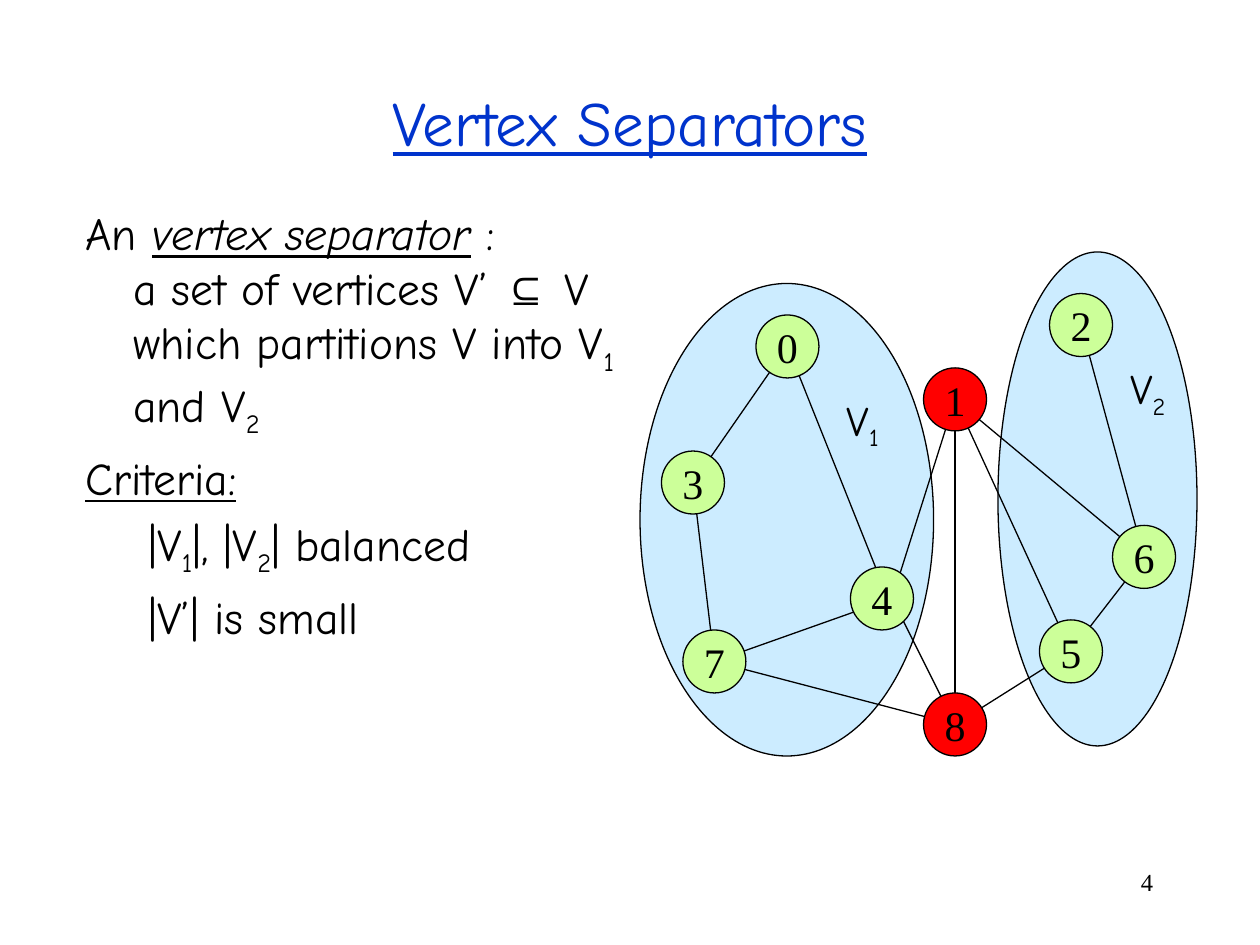
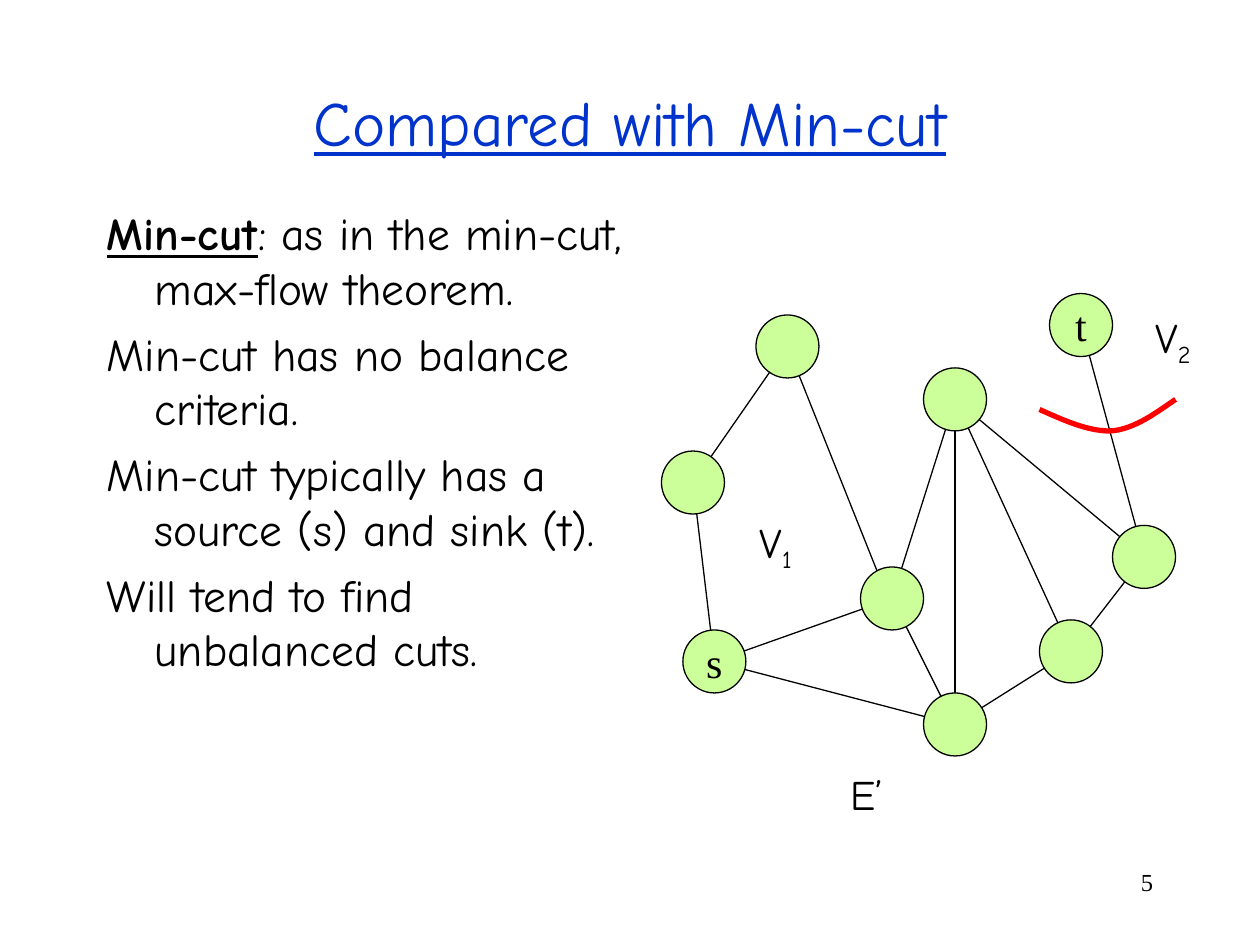
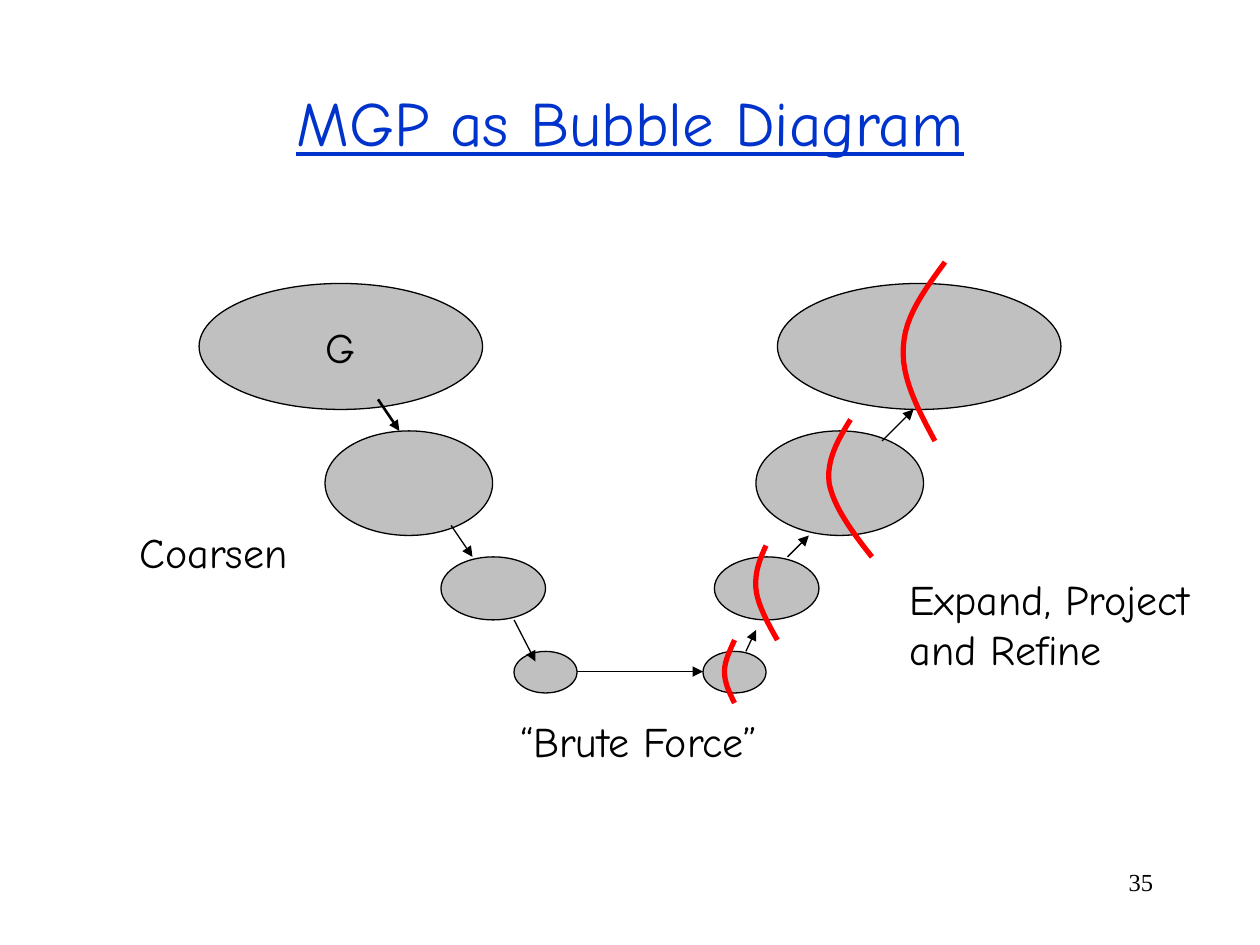
from dataclasses import dataclass

from lxml import etree
from pptx import Presentation
from pptx import util as u
from pptx.dml.color import RGBColor
from pptx.enum import shapes, text
from pptx.oxml.ns import qn


@dataclass(frozen=True)
class Theme:
    black: str = "000000"
    title: str = "0033CC"
    region: str = "CCECFF"
    node: str = "CCFF99"
    cut: str = "FF0000"
    bubble: str = "C0C0C0"
    hand: str = "Comic Neue"
    serif: str = "Times New Roman"
    symbol: str = "Arial"
    title_size: float = 36
    body_size: float = 26
    label_size: float = 24
    number_size: float = 14
    space_before: float = 6.5
    thin: float = 0.75
    medium: float = 1.5
    thick: float = 3


THEME = Theme()

# Content: a paragraph is a list of (text, style words) runs
V1 = [("V", ""), ("1", "sub")]
V2 = [("V", ""), ("2", "sub")]

SEPARATOR_BODY = [
    (0, [("An ", ""), ("vertex separator", "italic underline"),
         (" : \na set of vertices V’ ", ""), ("⊆", "symbol"),
         (" V which partitions V into V", ""), ("1", "sub"),
         (" and V", ""), ("2", "sub")]),
    (0, [("Criteria:", "underline")]),
    (1, [("|V", ""), ("1", "sub"), ("|, |V", ""), ("2", "sub"),
         ("| balanced", "")]),
    (1, [("|V’| is small", "")]),
]
MIN_CUT_BODY = [
    (0, [("Min-cut", "bold underline"),
         (": as in the min-cut, max-flow theorem.", "")]),
    (0, [("Min-cut has no balance criteria.", "")]),
    (0, [("Min-cut typically has a source (s) and sink (t).", "")]),
    (0, [("Will tend to find unbalanced cuts.", "")]),
]
INDENTS = [(0.38, -0.38), (0.81, -0.31)]  # left margin, first line

# Graph shared by the first two slides: node centres and edges
NODE_SIZE = 0.5
NODES = {7: (5.67, 5.25), 8: (7.58, 5.75), 3: (5.5, 3.83),
         4: (7.08, 4.75), 0: (6.25, 2.75), 1: (7.58, 3.17),
         2: (8.58, 2.58), 5: (8.5, 5.17), 6: (9.08, 4.42)}
ANCHORS = {**NODES, "below 4": (7.08, 4.83)}
EDGES = [(5, 6), (7, 4), (4, 8), (4, 1), (5, 8), (8, 1), (5, 1), (6, 1),
         (6, 2), (8, 7), ("below 4", 0), (0, 3), (7, 3)]
REGIONS = [(7.92, 2, 1.58, 3.92), (5.08, 2.25, 2.33, 3.75)]
SEPARATOR = {1, 8}

# Curves: a start, then control, control, end for each Bezier segment
MIN_CUT_CURVE = [(8.25, 3.25), (8.45, 3.34), (8.65, 3.43), (8.83, 3.42),
                 (9.01, 3.4), (9.17, 3.28), (9.33, 3.17)]
BUBBLE_CUTS = [
    [(5.83, 5.08), (5.79, 5.17), (5.75, 5.25), (5.75, 5.33),
     (5.75, 5.42), (5.79, 5.5), (5.83, 5.58)],
    [(6.17, 5.08), (6.09, 4.94), (6.01, 4.79), (6, 4.67),
     (5.99, 4.54), (6.03, 4.44), (6.08, 4.33)],
    [(6.92, 4.42), (6.76, 4.22), (6.61, 4.01), (6.58, 3.83),
     (6.56, 3.65), (6.65, 3.49), (6.75, 3.33)],
    [(7.42, 3.5), (7.28, 3.24), (7.15, 2.99), (7.17, 2.75),
     (7.18, 2.51), (7.34, 2.3), (7.5, 2.08)],
]

# Bubble levels: top, width, height, left when coarsening, left when refining
LEVELS = [(2.25, 2.25, 1, 1.58, 6.17), (3.42, 1.33, 0.83, 2.58, 6),
          (4.42, 0.83, 0.5, 3.5, 5.67), (5.17, 0.5, 0.33, 4.08, 5.58)]
ARROWS = [((3, 3.17), (3.17, 3.42), THEME.medium),
          ((3.58, 4.17), (3.75, 4.42), THEME.thin),
          ((4.08, 4.92), (4.25, 5.25), THEME.thin),
          ((4.58, 5.33), (5.58, 5.33), THEME.thin),
          ((5.92, 5.17), (6, 5), THEME.thin),
          ((6.25, 4.42), (6.42, 4.25), THEME.thin),
          ((7, 3.5), (7.25, 3.25), THEME.thin)]
BUBBLE_LABELS = [("Coarsen", (1.01, 4.13, 1.4, 0.5)),
                 ("Expand, Project\nand Refine", (7.12, 4.5, 2.45, 0.9)),
                 ("“Brute Force”", (4.03, 5.63, 2.14, 0.5))]


def inches(values):
    return [u.Inches(value) for value in values]


# Text
def set_font(paragraph, name, size, color=THEME.black):
    font = paragraph.font
    font.name, font.size = name, u.Pt(size)
    font.color.rgb = RGBColor.from_string(color)


def add_runs(paragraph, runs):
    for words, style in runs:
        for index, line in enumerate(words.split("\n")):
            if index:
                paragraph.add_line_break()
            run = paragraph.add_run()
            run.text = line
            if "bold" in style:
                run.font.bold = True
            if "italic" in style:
                run.font.italic = True
            if "underline" in style:
                run.font.underline = True
            if "symbol" in style:
                run.font.name = THEME.symbol
            if "sub" in style:
                run._r.get_or_add_rPr().set("baseline", "-25000")


def add_text_frame(slide, box):
    frame = slide.shapes.add_textbox(*inches(box)).text_frame
    frame.word_wrap = True
    return frame


def add_label(slide, runs, box):
    frame = add_text_frame(slide, box)
    frame.word_wrap = False
    frame.auto_size = text.MSO_AUTO_SIZE.SHAPE_TO_FIT_TEXT
    paragraph = frame.paragraphs[0]
    set_font(paragraph, THEME.hand, THEME.label_size)
    add_runs(paragraph, runs)


def add_body(slide, paragraphs, box):
    frame = add_text_frame(slide, box)
    for index, (level, runs) in enumerate(paragraphs):
        paragraph = frame.add_paragraph() if index else frame.paragraphs[0]
        paragraph.level = level
        paragraph.space_before = u.Pt(THEME.space_before)
        margin, first_line = INDENTS[level]
        properties = paragraph._p.get_or_add_pPr()
        properties.set("marL", str(u.Inches(margin)))
        properties.set("indent", str(u.Inches(first_line)))
        set_font(paragraph, THEME.hand, THEME.body_size)
        add_runs(paragraph, runs)


# Shapes
def set_line(line, width, color=THEME.black):
    line.width = u.Pt(width)
    line.color.rgb = RGBColor.from_string(color)


def add_ellipse(slide, box, fill, words="", font=THEME.serif):
    shape = slide.shapes.add_shape(shapes.MSO_SHAPE.OVAL, *inches(box))
    shape.shadow.inherit = False
    shape.fill.solid()
    shape.fill.fore_color.rgb = RGBColor.from_string(fill)
    set_line(shape.line, THEME.thin)
    if words:
        frame = shape.text_frame
        frame.word_wrap = False
        frame.vertical_anchor = text.MSO_ANCHOR.MIDDLE
        paragraph = frame.paragraphs[0]
        paragraph.alignment = text.PP_ALIGN.CENTER
        set_font(paragraph, font, THEME.label_size)
        add_runs(paragraph, [(words, "")])


def add_line(slide, start, end, width=THEME.thin, arrow=False):
    connector = slide.shapes.add_connector(
        shapes.MSO_CONNECTOR.STRAIGHT, *inches(start + end))
    set_line(connector.line, width)
    if arrow:
        etree.SubElement(connector.line._get_or_add_ln(), qn("a:tailEnd"),
                         type="triangle")
    etree.SubElement(connector._element.spPr, qn("a:effectLst"))


def bezier_points(curve, steps=12):
    for first in range(0, len(curve) - 1, 3):
        controls = curve[first:first + 4]
        for step in range(1, steps + 1):
            t = step / steps
            weights = ((1 - t) ** 3, 3 * t * (1 - t) ** 2,
                       3 * t ** 2 * (1 - t), t ** 3)
            yield tuple(sum(weight * point[axis] for weight, point
                            in zip(weights, controls)) for axis in (0, 1))


def add_cut(slide, curve):
    builder = slide.shapes.build_freeform(*inches(curve[0]))
    builder.add_line_segments(
        [inches(point) for point in bezier_points(curve)], close=False)
    shape = builder.convert_to_shape()
    shape.shadow.inherit = False
    shape.fill.background()
    set_line(shape.line, THEME.thick, THEME.cut)


def add_graph(slide, names, moved=None, separator=()):
    for start, end in EDGES:
        add_line(slide, ANCHORS[start], ANCHORS[end])
    for node, (x, y) in {**NODES, **(moved or {})}.items():
        box = (x - NODE_SIZE / 2, y - NODE_SIZE / 2, NODE_SIZE, NODE_SIZE)
        fill = THEME.cut if node in separator else THEME.node
        add_ellipse(slide, box, fill, names.get(node, ""))


# Slides
def start_slide(presentation, title, number):
    slide = presentation.slides.add_slide(presentation.slide_layouts[6])
    frame = add_text_frame(slide, (0.75, 0.5, 8.5, 0.92))
    frame.vertical_anchor = text.MSO_ANCHOR.MIDDLE
    paragraph = frame.paragraphs[0]
    paragraph.alignment = text.PP_ALIGN.CENTER
    set_font(paragraph, THEME.hand, THEME.title_size, THEME.title)
    add_runs(paragraph, [(title, "underline")])

    paragraph = add_text_frame(slide, (7.17, 6.83, 2.08, 0.5)).paragraphs[0]
    paragraph.alignment = text.PP_ALIGN.RIGHT
    set_font(paragraph, THEME.serif, THEME.number_size)
    add_runs(paragraph, [(str(number), "")])
    return slide


def build_separators(presentation):
    slide = start_slide(presentation, "Vertex Separators", 4)
    for region in REGIONS:
        add_ellipse(slide, region, THEME.region)
    add_graph(slide, {node: str(node) for node in NODES},
              moved={4: (7, 4.75)}, separator=SEPARATOR)
    add_body(slide, SEPARATOR_BODY, (0.58, 1.58, 4.67, 5.08))
    add_label(slide, V1, (6.62, 3.08, 0.48, 0.56))
    add_label(slide, V2, (8.87, 2.83, 0.48, 0.56))


def build_min_cut(presentation):
    slide = start_slide(presentation, "Compared with Min-cut", 5)
    add_graph(slide, {7: "s", 2: "t"})
    add_body(slide, MIN_CUT_BODY, (0.75, 1.58, 4.5, 5.08))
    add_label(slide, V1, (5.93, 4.05, 0.48, 0.56))
    add_label(slide, V2, (9.07, 2.42, 0.48, 0.56))
    add_label(slide, [("E’", "")], (6.65, 6.05, 0.48, 0.5))
    add_cut(slide, MIN_CUT_CURVE)


def build_bubbles(presentation):
    slide = start_slide(presentation, "MGP as Bubble Diagram", 35)
    for index, (top, width, height, *lefts) in enumerate(LEVELS):
        for side, left in enumerate(lefts):
            words = "G" if index == side == 0 else ""
            add_ellipse(slide, (left, top, width, height), THEME.bubble,
                        words, THEME.hand)
    for curve in BUBBLE_CUTS:
        add_cut(slide, curve)
    for start, end, width in ARROWS:
        add_line(slide, start, end, width, arrow=True)
    for words, box in BUBBLE_LABELS:
        add_label(slide, [(words, "")], box)


def main():
    presentation = Presentation()
    presentation.slide_width = u.Inches(10)
    presentation.slide_height = u.Inches(7.5)
    build_separators(presentation)
    build_min_cut(presentation)
    build_bubbles(presentation)
    presentation.save("out.pptx")


if __name__ == "__main__":
    main()
